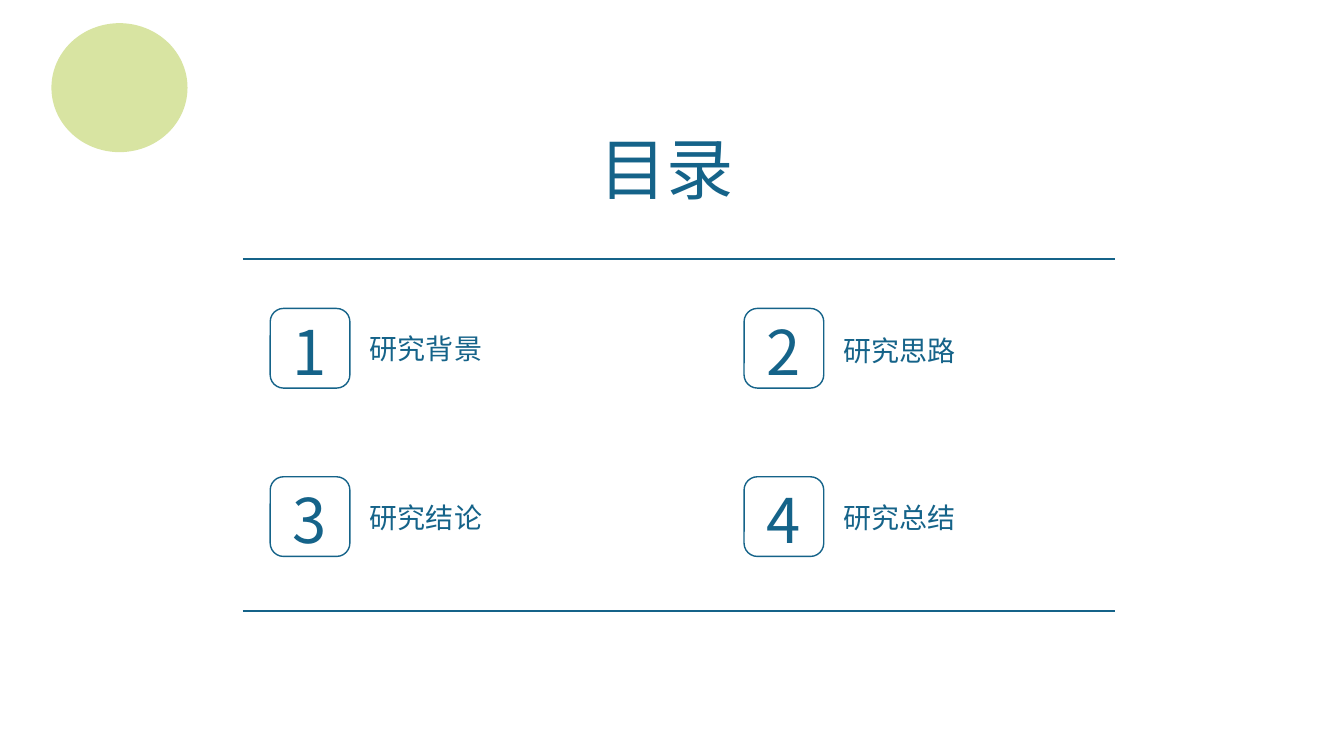
import pptx
import pptx.dml.color
import pptx.enum.shapes
import pptx.enum.text
import pptx.oxml
import pptx.oxml.ns
import pptx.util
from pptx.util import Inches

COLORS = {"blue": "156389", "green": "D8E4A2"}
FONT = "Noto Sans CJK SC"
COLUMNS = [2.68, 7.38]
ROWS = [3.06, 4.73]
TOPICS = [("研究背景", 3.24), ("研究思路", 3.26), ("研究结论", 4.91), ("研究总结", 4.91)]


def color(name):
    return pptx.dml.color.RGBColor.from_string(COLORS[name])


def add_text(shapes, text, left, top, width, height, size, wrap=False):
    box = shapes.add_textbox(Inches(left), Inches(top), Inches(width), Inches(height))
    frame = box.text_frame
    frame.word_wrap = wrap
    frame.vertical_anchor = pptx.enum.text.MSO_ANCHOR.MIDDLE
    frame.text = text
    paragraph = frame.paragraphs[0]
    paragraph.font.size = pptx.util.Pt(size)
    paragraph.font.color.rgb = color("blue")
    paragraph.font.name = FONT
    properties = paragraph._p.pPr.find(pptx.oxml.ns.qn("a:defRPr"))
    east_asian = pptx.oxml.parse_xml(
        f'<a:ea {pptx.oxml.ns.nsdecls("a")} typeface="{FONT}"/>')
    properties.append(east_asian)


def add_rule(shapes, top):
    rule = shapes.add_connector(
        pptx.enum.shapes.MSO_CONNECTOR.STRAIGHT,
        Inches(2.41), Inches(top), Inches(11.06), Inches(top))
    rule.line.color.rgb = color("blue")
    rule.line.width = pptx.util.Pt(1)
    rule._element.spPr.append(pptx.oxml.parse_xml(
        f'<a:effectLst {pptx.oxml.ns.nsdecls("a")}/>'))


def add_topic(shapes, number, label, label_top, left, top):
    group = shapes.add_group_shape()
    add_text(group.shapes, label, left + 0.89, label_top, 1.31, 0.44, 20)
    frame = group.shapes.add_shape(
        pptx.enum.shapes.MSO_SHAPE.ROUNDED_RECTANGLE,
        Inches(left), Inches(top), Inches(0.79), Inches(0.79))
    frame.shadow.inherit = False
    frame.fill.background()
    frame.line.color.rgb = color("blue")
    frame.line.width = pptx.util.Pt(1)
    add_text(group.shapes, str(number), left + 0.12, top, 0.31, 0.84, 44, wrap=True)


def add_circle(shapes):
    circle = shapes.add_shape(
        pptx.enum.shapes.MSO_SHAPE.OVAL,
        Inches(0.51), Inches(0.23), Inches(1.35), Inches(1.28))
    circle.shadow.inherit = False
    circle.fill.solid()
    circle.fill.fore_color.rgb = color("green")
    circle.line.fill.background()


def main():
    presentation = pptx.Presentation()
    presentation.slide_width = Inches(13.33)
    presentation.slide_height = Inches(7.5)
    slide = presentation.slides.add_slide(presentation.slide_layouts[6])
    shapes = slide.shapes
    add_text(shapes, "目录", 5.85, 1.21, 1.53, 0.91, 48)
    add_rule(shapes, 2.57)
    for index, (label, label_top) in enumerate(TOPICS):
        row, column = divmod(index, len(COLUMNS))
        add_topic(shapes, index + 1, label, label_top, COLUMNS[column], ROWS[row])
    add_rule(shapes, 6.06)
    add_circle(shapes)
    presentation.save("out.pptx")


if __name__ == "__main__":
    main()
